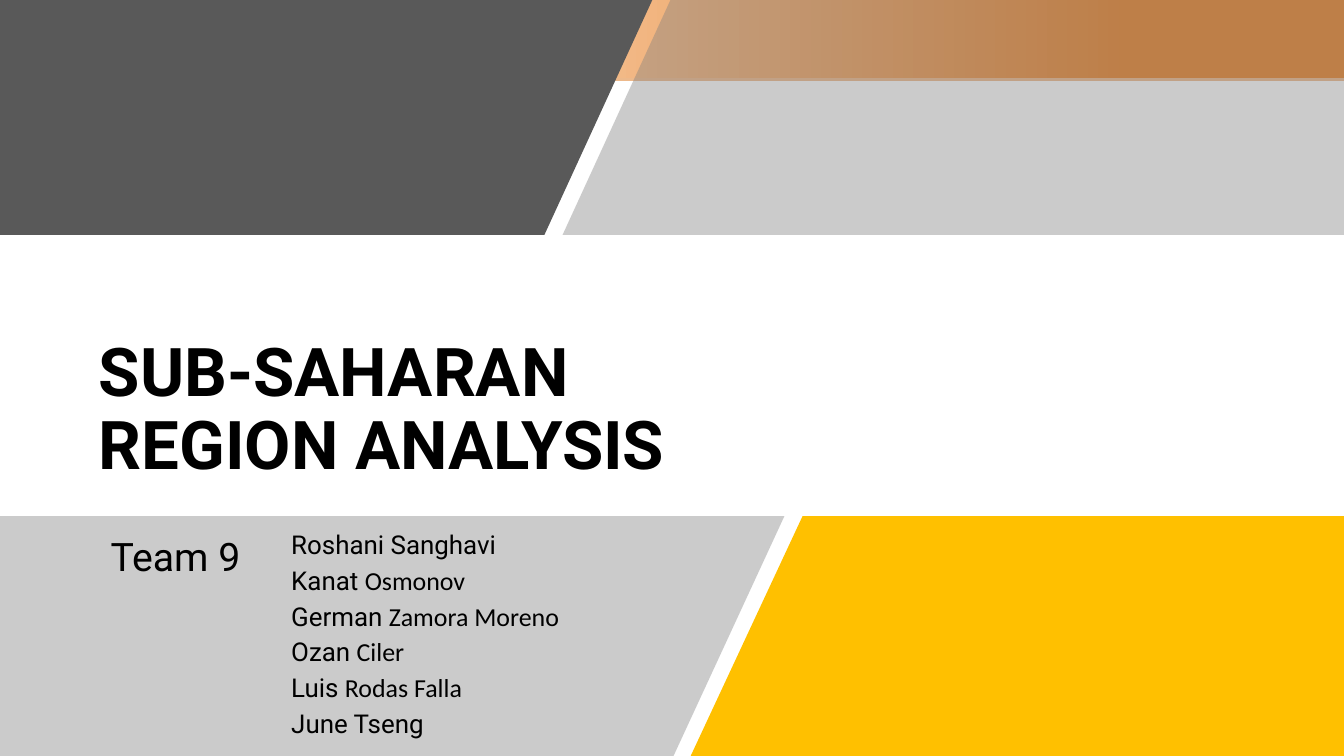
from dataclasses import dataclass

from lxml import etree
from pptx import Presentation
from pptx.dml.color import RGBColor
from pptx.enum.shapes import MSO_CONNECTOR, MSO_SHAPE
from pptx.enum.text import MSO_ANCHOR, MSO_AUTO_SIZE, PP_ALIGN
from pptx.oxml.ns import qn
from pptx.util import Inches, Pt

RECT = MSO_SHAPE.RECTANGLE
STRAIGHT = MSO_CONNECTOR.STRAIGHT
BOTTOM, TOP = MSO_ANCHOR.BOTTOM, MSO_ANCHOR.TOP
LEFT = PP_ALIGN.LEFT
NO_FIT = MSO_AUTO_SIZE.NONE

W, H = 13.33, 7.5
TOP_END = 2.33      # lower edge of the top panels
LOW_START = 5.12    # upper edge of the bottom panels
HEAD_FONT, BODY_FONT = "Roboto", "Calibri"
COLORS = {
    "white": "FFFFFF", "black": "000000", "dark": "595959", "gray": "7F7F7F",
    "orange": "E87F24", "peach": "EDB98B", "gold": "FFC000",
}


@dataclass
class Panel:
    points: list[tuple[float, float]]
    color: str
    alpha: int = 100


@dataclass
class Member:
    first: str
    last: str = ""


PANELS = [
    Panel([(0, 0), (6.47, 0), (5.4, TOP_END), (0, TOP_END)], "dark"),
    Panel([(6.65, 0), (W, 0), (W, TOP_END), (5.58, TOP_END)], "gray", 40),
    Panel([(7.83, LOW_START), (11.67, LOW_START), (11.67, H), (6.73, H)], "white"),
    Panel([(7.96, LOW_START), (W, LOW_START), (W, H), (6.85, H)], "gold"),
    Panel([(0, LOW_START), (7.78, LOW_START), (6.68, H), (0, H)], "gray", 40),
]
MEMBERS = [
    Member("Roshani Sanghavi"),
    Member("Kanat ", "Osmonov"),
    Member("German ", "Zamora Moreno"),
    Member("Ozan ", "Ciler"),
    Member("Luis ", "Rodas Falla"),
    Member("June Tseng"),
]


def rgb(name: str) -> RGBColor:
    return RGBColor.from_string(COLORS[name])


def add_panel(s, panel: Panel) -> None:
    points = [(Inches(x), Inches(y)) for x, y in panel.points]
    builder = s.shapes.build_freeform(*points[0], scale=1.0)
    builder.add_line_segments(points[1:], close=True)
    sp = builder.convert_to_shape()
    sp.shadow.inherit = False
    sp.fill.solid()
    sp.fill.fore_color.rgb = rgb(panel.color)
    sp.line.fill.background()
    if panel.alpha < 100:
        color = sp.fill._xPr.find(qn("a:solidFill"))[0]
        etree.SubElement(color, qn("a:alpha"), val=str(panel.alpha * 1000))


def place_text(sp, box: tuple[float, float, float, float], anchor):
    sp.left, sp.top, sp.width, sp.height = map(Inches, box)
    tf = sp.text_frame
    tf.word_wrap = True
    tf.auto_size = NO_FIT
    tf.vertical_anchor = anchor
    return tf


def format_paragraph(p, spacing: float, before: float = 0) -> None:
    p.alignment = LEFT
    p.line_spacing = spacing
    p.space_before = Pt(before)


def format_run(r, size: float, font: str = HEAD_FONT, bold: bool = False) -> None:
    r.font.name = font
    r.font.size = Pt(size)
    r.font.bold = bold
    r.font.color.rgb = rgb("black")


def add_banner(s) -> None:
    sp = s.shapes.add_shape(RECT, 0, Inches(-0.01), Inches(W), Inches(0.8))
    sp.shadow.inherit = False
    sp.line.fill.background()
    sp.fill.gradient()
    sp.fill.gradient_angle = 0
    for stop, (position, color) in zip(sp.fill.gradient_stops,
                                       [(0, "white"), (0.84, "orange")]):
        stop.position = position
        stop.color.rgb = rgb(color)

    rule = s.shapes.add_connector(STRAIGHT, 0, Inches(0.79), Inches(W), Inches(0.79))
    rule.line.color.rgb = rgb("peach")
    rule.line.width = Pt(2.25)
    etree.SubElement(rule._element.spPr, qn("a:effectLst"))


def add_title(s) -> None:
    tf = place_text(s.shapes.title, (0.88, 3.14, 10, 1.71), BOTTOM)
    tf.text = "SUB-SAHARAN\vREGION ANALYSIS"
    p = tf.paragraphs[0]
    format_paragraph(p, 0.9)
    for r in p.runs:
        format_run(r, 48, bold=True)


def add_team(s) -> None:
    tf = place_text(s.shapes.add_textbox(0, 0, 0, 0), (1, 5.28, 10, 0.63), TOP)
    tf.text = "Team 9"
    format_paragraph(tf.paragraphs[0], 0.9)
    format_run(tf.paragraphs[0].runs[0], 28)


def add_members(s) -> None:
    tf = place_text(s.shapes.add_textbox(0, 0, 0, 0), (2.79, 5.28, 4.98, 2.22), TOP)
    for i, member in enumerate(MEMBERS):
        p = tf.add_paragraph() if i else tf.paragraphs[0]
        format_paragraph(p, 0.7, 10 if i else 0)
        for text, font in ((member.first, HEAD_FONT), (member.last, BODY_FONT)):
            if text:
                r = p.add_run()
                r.text = text
                format_run(r, 18.5, font)


def main() -> None:
    prs = Presentation()
    prs.slide_width, prs.slide_height = Inches(W), Inches(H)
    s = prs.slides.add_slide(prs.slide_layouts[5])

    # Background banner and slanted panels
    add_banner(s)
    for panel in PANELS:
        add_panel(s, panel)

    # Title, team label and member names
    add_title(s)
    add_team(s)
    add_members(s)
    prs.save("out.pptx")


if __name__ == "__main__":
    main()
